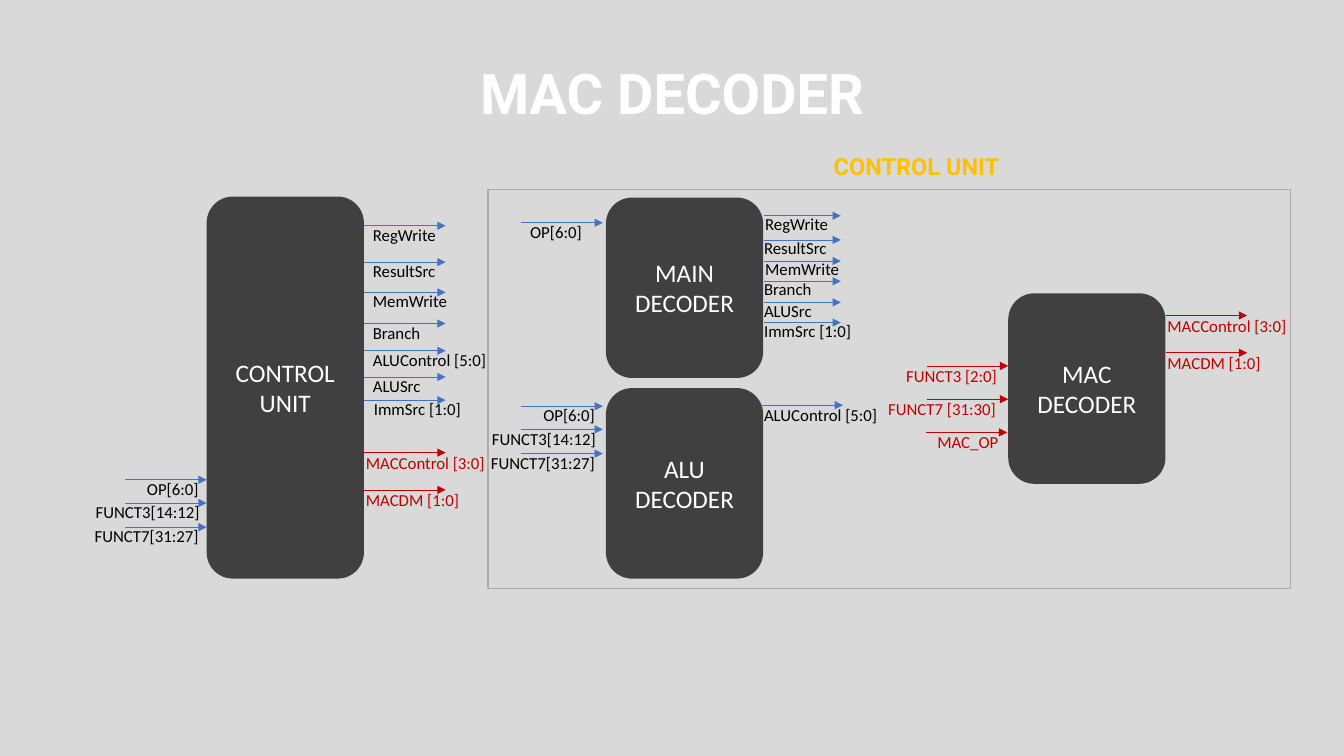
from dataclasses import dataclass

from lxml import etree
from pptx import Presentation, util as u
from pptx.dml.color import RGBColor
from pptx.enum import shapes as sh, text as tx
from pptx.oxml.ns import qn

HUES = {"back": "D9D9D9", "block": "404040", "white": "FFFFFF", "black": "000000",
        "blue": "4472C4", "red": "C00000", "gold": "FFC000", "frame": "AFABAB"}


@dataclass
class Signal:
    name: str
    y: float
    left: float  # label edge
    wide: float  # label width


@dataclass
class Bus:
    x: float
    span: float
    drop: float  # label top relative to its arrow
    signals: list[Signal]
    line: str = "blue"
    ink: str = "black"
    tall: float = 0.3
    align: tx.PP_ALIGN = tx.PP_ALIGN.LEFT


@dataclass
class Block:
    lines: list[str]
    box: tuple[float, float, float, float]
    buses: list[Bus]
    group: bool = True


def inputs(x: float, y: float) -> Bus:
    """Three instruction fields, entering from the left."""
    return Bus(x, 0.81, -0.06, [
        Signal("OP[6:0]", y, x + 0.12, 0.86),
        Signal("FUNCT3[14:12]", y + 0.23, x - 0.39, 1.25),
        Signal("FUNCT7[31:27]", y + 0.47, x - 0.4, 1.25)], tall=0.2)


def mac_out(x: float, y: float) -> Bus:
    """The two MAC control signals, leaving to the right."""
    return Bus(x, 0.81, -0.05, [
        Signal("MACControl [3:0]", y, x - 0.08, 1.52),
        Signal("MACDM [1:0]", y + 0.37, x - 0.08, 1.52)], "red", "red")


BLOCKS = [
    Block(["MAIN DECODER"], (6.01, 1.96, 1.56, 1.79), [
        Bus(5.17, 0.81, -0.06, [Signal("OP[6:0]", 2.21, 5.16, 0.86)]),
        Bus(7.58, 0.76, -0.07, [
            Signal("RegWrite", 2.14, 7.49, 1.05),
            Signal("ResultSrc", 2.38, 7.48, 1.39),
            Signal("MemWrite", 2.59, 7.49, 1.5),
            Signal("Branch", 2.79, 7.48, 1.39),
            Signal("ALUSrc", 3.0, 7.48, 1.5),
            Signal("ImmSrc [1:0]", 3.2, 7.48, 1.61)])]),
    Block(["ALU DECODER"], (6.01, 3.85, 1.56, 1.89), [
        inputs(5.17, 4.03),
        Bus(7.55, 0.81, -0.05, [Signal("ALUControl [5:0]", 4.02, 7.48, 1.5)])]),
    Block(["CONTROL", "UNIT"], (2.05, 1.95, 1.56, 3.79), [
        Bus(3.61, 0.81, -0.06, [
            Signal("RegWrite", 2.24, 3.6, 0.86),
            Signal("ResultSrc", 2.6, 3.6, 0.86),
            Signal("MemWrite", 2.9, 3.6, 1.0),
            Signal("Branch", 3.21, 3.6, 0.86),
            Signal("ALUControl [5:0]", 3.48, 3.6, 1.5),
            Signal("ALUSrc", 3.74, 3.6, 0.86),
            Signal("ImmSrc [1:0]", 3.97, 3.61, 1.13)]),
        inputs(1.24, 4.76),
        mac_out(3.61, 4.49)], group=False),
    Block(["MAC DECODER"], (10, 2.91, 1.56, 1.89), [
        Bus(9.19, 0.81, -0.05, [
            Signal("FUNCT3 [2:0]", 3.63, 8.89, 1.16),
            Signal("FUNCT7 [31:30]", 3.96, 8.71, 1.35)], "red", "red"),
        Bus(9.18, 0.81, -0.06, [Signal("MAC_OP", 4.29, 8.48, 1.52)],
            "red", "red", align=tx.PP_ALIGN.RIGHT),
        mac_out(11.56, 3.13)]),
]


def hue(name: str) -> RGBColor:
    return RGBColor.from_string(HUES[name])


def inches(*nums: float) -> list[u.Length]:
    return [u.Inches(n) for n in nums]


def write(para, words: str, size: float, ink: str, font: str = "Calibri",
          bold: bool = False, align: tx.PP_ALIGN = tx.PP_ALIGN.CENTER) -> None:
    para.alignment = align
    run = para.add_run()
    run.text = words
    run.font.size, run.font.name, run.font.bold = u.Pt(size), font, bold
    run.font.color.rgb = hue(ink)


def head(shape, words: str, size: float, ink: str, lead: float) -> None:
    frame = shape.text_frame
    frame.word_wrap = True
    frame.auto_size = tx.MSO_AUTO_SIZE.NONE
    frame.vertical_anchor = tx.MSO_ANCHOR.MIDDLE
    para = frame.paragraphs[0]
    para.line_spacing, para.space_after = lead, u.Pt(6)
    write(para, words, size, ink, "Roboto", True)


def arrow(pool, x: float, y: float, span: float, ink: str) -> None:
    line = pool.add_connector(sh.MSO_CONNECTOR.STRAIGHT, *inches(x, y, x + span, y))
    line.line.color.rgb = hue(ink)
    line.line.width = u.Pt(0.5)
    props = line._element.spPr
    etree.SubElement(props.find(qn("a:ln")), qn("a:tailEnd"), type="triangle")
    etree.SubElement(props, qn("a:effectLst"))


def label(pool, sig: Signal, bus: Bus) -> None:
    box = pool.add_textbox(*inches(sig.left, sig.y + bus.drop, sig.wide, bus.tall))
    frame = box.text_frame
    frame.word_wrap = True
    frame.auto_size = tx.MSO_AUTO_SIZE.SHAPE_TO_FIT_TEXT
    write(frame.paragraphs[0], sig.name, 12, bus.ink, align=bus.align)


def draw(pool, block: Block) -> None:
    if block.group:
        pool = pool.add_group_shape().shapes
    body = pool.add_shape(sh.MSO_SHAPE.ROUNDED_RECTANGLE, *inches(*block.box))
    body.shadow.inherit = False
    body.fill.solid()
    body.fill.fore_color.rgb = hue("block")
    body.line.fill.background()
    frame = body.text_frame
    frame.word_wrap = True
    frame.vertical_anchor = tx.MSO_ANCHOR.MIDDLE
    for i, words in enumerate(block.lines):
        para = frame.add_paragraph() if i else frame.paragraphs[0]
        write(para, words, 18, "white")
    for bus in block.buses:
        for sig in bus.signals:
            arrow(pool, bus.x, sig.y, bus.span, bus.line)
            label(pool, sig, bus)


def main() -> None:
    deck = Presentation()
    deck.slide_width, deck.slide_height = inches(13.33, 7.5)
    slide = deck.slides.add_slide(deck.slide_layouts[5])
    slide.background.fill.solid()
    slide.background.fill.fore_color.rgb = hue("back")
    pool = slide.shapes

    # Title
    title = pool.title
    title.left, title.top, title.width, title.height = inches(0.92, 0.37, 11.49, 1.18)
    head(title, "MAC DECODER", 40, "white", 0.9)

    # Blocks with their signals
    for block in BLOCKS:
        draw(pool, block)

    # Frame around the inner decoders, with its caption
    frame = pool.add_shape(sh.MSO_SHAPE.RECTANGLE, *inches(4.84, 1.88, 7.96, 3.96))
    frame.shadow.inherit = False
    frame.fill.background()
    frame.line.color.rgb = hue("frame")
    frame.line.width = u.Pt(1)
    caption = pool.add_textbox(*inches(8.02, 1.44, 2.14, 0.49))
    head(caption, "CONTROL UNIT", 16.8, "gold", 0.7)

    deck.save("out.pptx")


if __name__ == "__main__":
    main()
